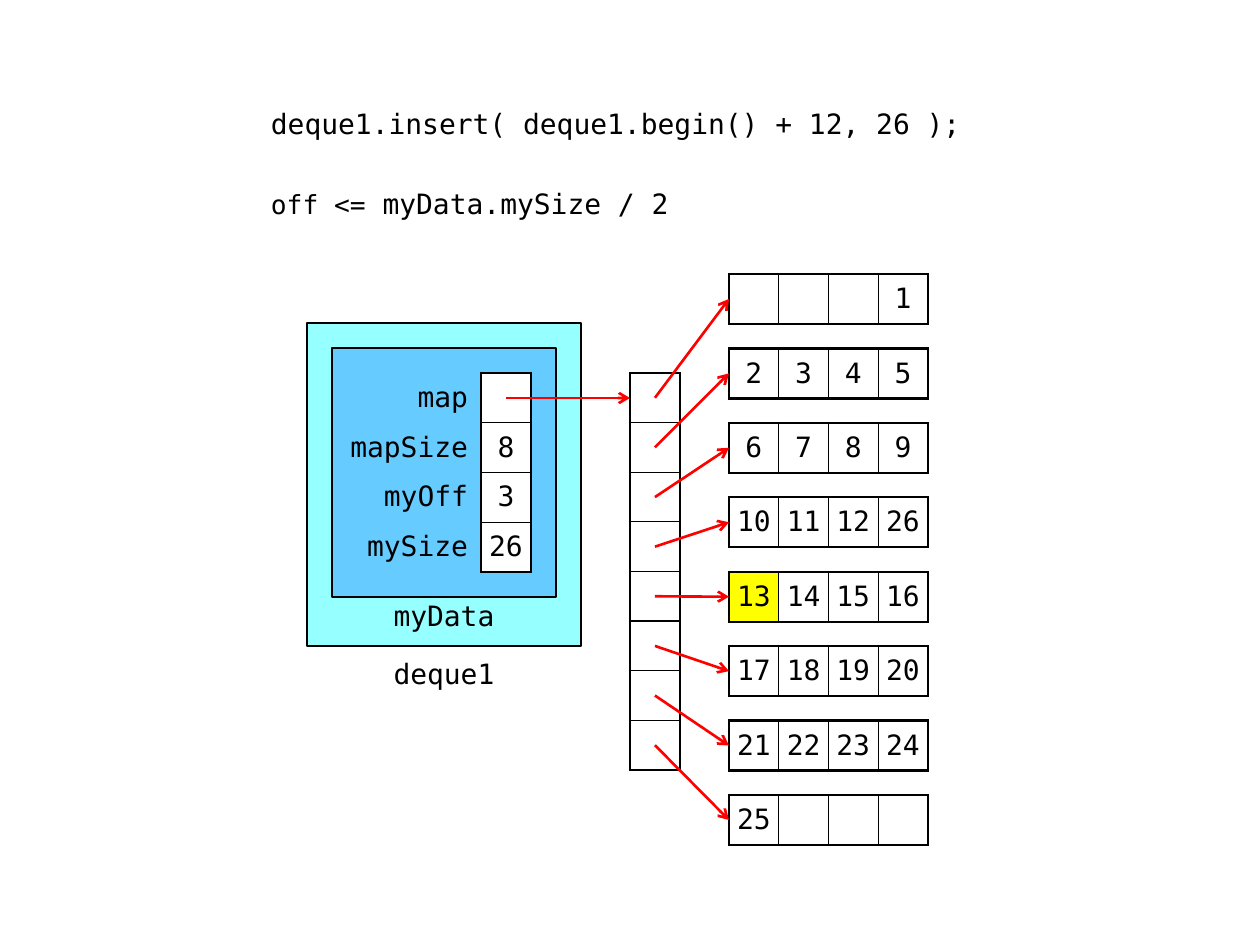
from lxml.etree import SubElement
from pptx import Presentation
from pptx.dml.color import RGBColor
from pptx.enum.shapes import MSO_CONNECTOR, MSO_SHAPE
from pptx.enum.text import MSO_ANCHOR, PP_ALIGN
from pptx.oxml.ns import qn
from pptx.util import Pt

SCALE = 914400 / 126
BLACK, WHITE, RED, YELLOW = "000000", "FFFFFF", "FF0000", "FFFF00"
THICK, THIN = 1.5, 0.75


def px(length):
    return round(length * SCALE)


def paint(target, color):
    if color is None:
        target.background()
    else:
        target.solid()
        target.fore_color.rgb = RGBColor.from_string(color)


def write(paragraph, text, size=16, font="DejaVu Sans Mono", color=BLACK,
          align=PP_ALIGN.LEFT, before=0):
    paragraph.alignment = align
    paragraph.space_before = Pt(before)
    run = paragraph.add_run()
    run.text = text
    run.font.size = Pt(size)
    run.font.name = font
    run.font.color.rgb = RGBColor.from_string(color)


def set_border(cell, side, width):
    line = SubElement(cell._tc.get_or_add_tcPr(), qn(f"a:ln{side}"), w=str(Pt(width)))
    if width:
        fill = SubElement(line, qn("a:solidFill"))
        SubElement(fill, qn("a:srgbClr"), val=BLACK)
    else:
        SubElement(line, qn("a:noFill"))


class Diagram:
    def __init__(self, slide):
        self.shapes = slide.shapes

    def text(self, left, top, width, height, margins, anchor=MSO_ANCHOR.TOP):
        frame = self.shapes.add_textbox(px(left), px(top), px(width), px(height)).text_frame
        frame.word_wrap = True
        frame.vertical_anchor = anchor
        frame.margin_left = frame.margin_right = px(margins[0])
        frame.margin_top = px(margins[1])
        frame.margin_bottom = 0
        return frame

    def box(self, left, top, width, height, color):
        shape = self.shapes.add_shape(MSO_SHAPE.FLOWCHART_PROCESS,
                                      px(left), px(top), px(width), px(height))
        shape.shadow.inherit = False
        paint(shape.fill, color)
        paint(shape.line.fill, BLACK)
        shape.line.width = Pt(THICK)

    def arrow(self, start, end):
        connector = self.shapes.add_connector(MSO_CONNECTOR.STRAIGHT, *map(px, start + end))
        paint(connector.line.fill, RED)
        connector.line.width = Pt(1.5)
        SubElement(connector.get_or_add_ln(), qn("a:tailEnd"), type="arrow")
        SubElement(connector._element.spPr, qn("a:effectLst"))

    def table(self, left, top, widths, height, rows, labels=0, marked=()):
        last_row, last_column = len(rows) - 1, len(widths) - 1
        table = self.shapes.add_table(len(rows), len(widths), px(left), px(top),
                                      px(sum(widths)), px(height)).table
        table.first_row = table.horz_banding = False
        for column, width in zip(table.columns, widths):
            column.width = px(width)
        for r, values in enumerate(rows):
            table.rows[r].height = px(height / len(rows))
            for c, value in enumerate(values):
                cell = table.cell(r, c)
                is_label = c < labels
                cell.vertical_anchor = MSO_ANCHOR.MIDDLE
                cell.margin_top = cell.margin_bottom = px(5)
                cell.margin_left = cell.margin_right = px(13 if is_label else 4)
                write(cell.text_frame.paragraphs[0], value,
                      align=PP_ALIGN.RIGHT if is_label else PP_ALIGN.CENTER)
                outer = {"L": c == labels, "R": c == last_column,
                         "T": r == 0, "B": r == last_row}
                for side, is_outer in outer.items():
                    width = THICK if is_outer else THIN
                    if is_label:
                        width = THICK if side == "R" and c == labels - 1 else 0
                    set_border(cell, side, width)
                fill = YELLOW if value in marked else WHITE
                paint(cell.fill, None if is_label else fill)


presentation = Presentation()
presentation.slide_width = px(1260)
presentation.slide_height = px(945)
diagram = Diagram(presentation.slides.add_slide(presentation.slide_layouts[6]))

code = diagram.text(258, 101, 745, 123, margins=(13, 6))
write(code.paragraphs[0], "deque1.insert( deque1.begin() + 12, 26 );", before=3)
condition = code.add_paragraph()
write(condition, "off <=", size=15, before=26)
write(condition, " myData.mySize / 2", before=26)

diagram.box(307, 323, 274, 323, "96FFFF")
diagram.box(332, 348, 224, 249, "66CCFF")
deque_name = diagram.text(357, 646, 174, 50, margins=(10, 5), anchor=MSO_ANCHOR.MIDDLE)
write(deque_name.paragraphs[0], "deque1", align=PP_ALIGN.CENTER)
data_name = diagram.text(382, 597, 124, 50, margins=(10, 2))
write(data_name.paragraphs[0], "myData", align=PP_ALIGN.CENTER)

members = [("map", ""), ("mapSize", "8"), ("myOff", "3"), ("mySize", "26")]
diagram.table(332, 373, (149, 50), 199, members, labels=1)

BLOCK_COUNT, BLOCK_SIZE, OFFSET = 8, 4, 3
MAP_LEFT, MAP_TOP, MAP_HEIGHT, CELL = 630, 373, 397, 50
BLOCK_LEFT, BLOCK_TOP, BLOCK_WIDTH, BLOCK_SPAN = 729, 274, 199, 521

diagram.table(MAP_LEFT, MAP_TOP, (CELL,), MAP_HEIGHT, [("",)] * BLOCK_COUNT)

elements = [*range(1, 13), 26, *range(13, 26)]
slots = [""] * OFFSET + [str(element) for element in elements]
slots += [""] * (BLOCK_COUNT * BLOCK_SIZE - len(slots))

for index in range(BLOCK_COUNT):
    block_top = BLOCK_TOP + index * BLOCK_SPAN / (BLOCK_COUNT - 1)
    block = slots[index * BLOCK_SIZE:(index + 1) * BLOCK_SIZE]
    diagram.table(BLOCK_LEFT, block_top, (BLOCK_WIDTH / BLOCK_SIZE,) * BLOCK_SIZE,
                  CELL, [block], marked=("13",))
    pointer_middle = MAP_TOP + (index + 0.5) * MAP_HEIGHT / BLOCK_COUNT
    diagram.arrow((MAP_LEFT + CELL / 2, pointer_middle), (BLOCK_LEFT, block_top + CELL / 2))

diagram.arrow((506, 398), (MAP_LEFT, 398))

presentation.save("out.pptx")
